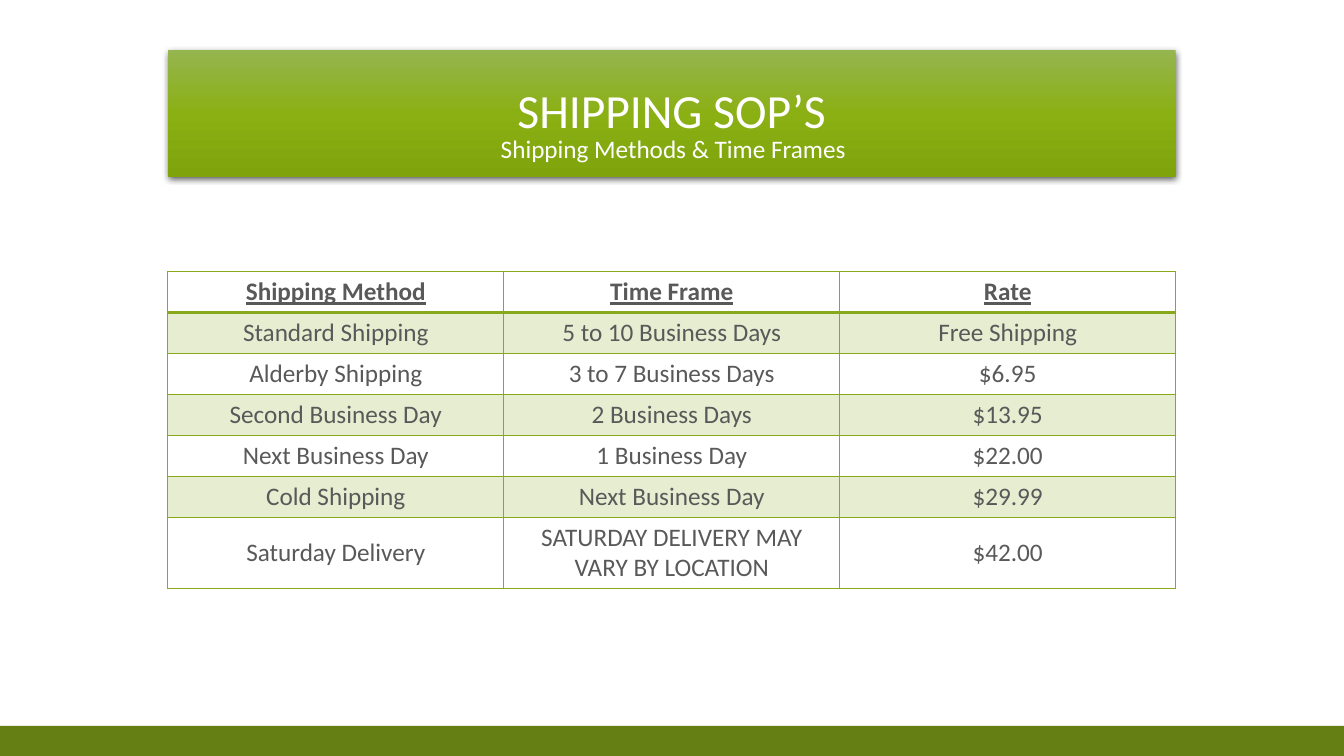
from lxml.etree import SubElement as Sub
from pptx import Presentation
from pptx.dml.color import RGBColor
from pptx.enum.shapes import MSO_SHAPE as Kind
from pptx.enum.text import MSO_ANCHOR as Anchor, PP_ALIGN as Align
from pptx.oxml import parse_xml
from pptx.oxml.ns import nsdecls, qn
from pptx.util import Cm, Pt

WHITE = RGBColor(0xFF, 0xFF, 0xFF)
GREY = RGBColor(0x59, 0x59, 0x59)
GREEN = RGBColor(0x87, 0xA9, 0x1B)
OLIVE = RGBColor(0x65, 0x7F, 0x14)
STOPS = [(0, RGBColor(0x95, 0xB5, 0x4E)),
         (50, RGBColor(0x8B, 0xB0, 0x14)),
         (100, RGBColor(0x7F, 0xA3, 0x0B))]

ROWS = [
    ("Shipping Method", "Time Frame", "Rate"),
    ("Standard Shipping", "5 to 10 Business Days", "Free Shipping\u00a0".strip()),
    ("Alderby Shipping", "3 to 7 Business Days", "$6.95"),
    ("Second Business Day", "2 Business Days", "$13.95"),
    ("Next Business Day", "1 Business Day", "$22.00"),
    ("Cold Shipping", "Next Business Day", "$29.99"),
    ("Saturday Delivery", "SATURDAY DELIVERY MAY VARY BY LOCATION", "$42.00"),
]
LEFT, WIDTH, HIGH = Cm(4.23), Cm(25.4), Cm(1.03)


def style(para, size, color, align):
    para.alignment = align
    for run in para.runs:
        run.font.name = "Calibri"
        run.font.size = Pt(size)
        run.font.color.rgb = color


def edge(cell, side, width):
    line = Sub(cell._tc.get_or_add_tcPr(), qn("a:ln" + side), w=str(Pt(width)))
    fill = Sub(line, qn("a:solidFill"))
    Sub(fill, qn("a:srgbClr"), val=str(GREEN))


deck = Presentation()
deck.slide_width, deck.slide_height = Cm(33.87), Cm(19.05)
slide = deck.slides.add_slide(deck.slide_layouts[6])
shapes = slide.shapes

foot = shapes.add_shape(Kind.RECTANGLE, 0, Cm(18.29), deck.slide_width, Cm(0.76))
foot.shadow.inherit = False
foot.fill.solid()
foot.fill.fore_color.rgb = OLIVE
foot.line.fill.background()

title = shapes.add_shape(Kind.RECTANGLE, LEFT, Cm(1.27), WIDTH, Cm(3.18))
title.shadow.inherit = False
title.line.fill.background()
title.fill.gradient()
title.fill.gradient_angle = 270
stops = title._element.spPr.find(qn("a:gradFill")).find(qn("a:gsLst"))
stops.clear()
for place, color in STOPS:
    stop = Sub(stops, qn("a:gs"), pos=str(place * 1000))
    Sub(stop, qn("a:srgbClr"), val=str(color))
glow = title._element.spPr.find(qn("a:effectLst"))
glow.append(parse_xml(
    f'<a:outerShdw {nsdecls("a")} blurRad="{Pt(4.5)}" dist="{Pt(1.5)}" '
    'dir="5400000" algn="ctr" rotWithShape="0">'
    '<a:srgbClr val="000000"><a:alpha val="63000"/></a:srgbClr></a:outerShdw>'))
frame = title.text_frame
frame.text = "SHIPPING SOP’S"
frame.word_wrap = True
frame.vertical_anchor = Anchor.MIDDLE
frame.paragraphs[0].line_spacing = 0.9
style(frame.paragraphs[0], 34, WHITE, Align.CENTER)

table = shapes.add_table(len(ROWS), 3, LEFT, Cm(6.85), WIDTH, HIGH * len(ROWS)).table
table.first_row = table.horz_banding = False
for r, row in enumerate(ROWS):
    table.rows[r].height = HIGH
    for c, text in enumerate(row):
        cell = table.cell(r, c)
        cell.text = text
        cell.vertical_anchor = Anchor.MIDDLE if r else Anchor.TOP
        para = cell.text_frame.paragraphs[0]
        style(para, 18, GREY, Align.CENTER)
        font = para.runs[0].font
        font.bold = font.underline = r == 0
        for side in "LRTB":
            thick = (r, side) in [(0, "B"), (1, "T")]
            edge(cell, side, 2 if thick else 1)
        if r % 2:
            cell.fill.solid()
            cell.fill.fore_color.rgb = GREEN
            tint = cell._tc.tcPr.find(qn("a:solidFill")).find(qn("a:srgbClr"))
            Sub(tint, qn("a:alpha"), val="20000")
        else:
            cell.fill.background()

note = shapes.add_textbox(Cm(12.37), Cm(3.23), Cm(10.44), Cm(1.02))
note.text_frame.word_wrap = True
note.text_frame.text = "Shipping Methods & Time Frames"
style(note.text_frame.paragraphs[0], 18, WHITE, Align.LEFT)

deck.save("out.pptx")
